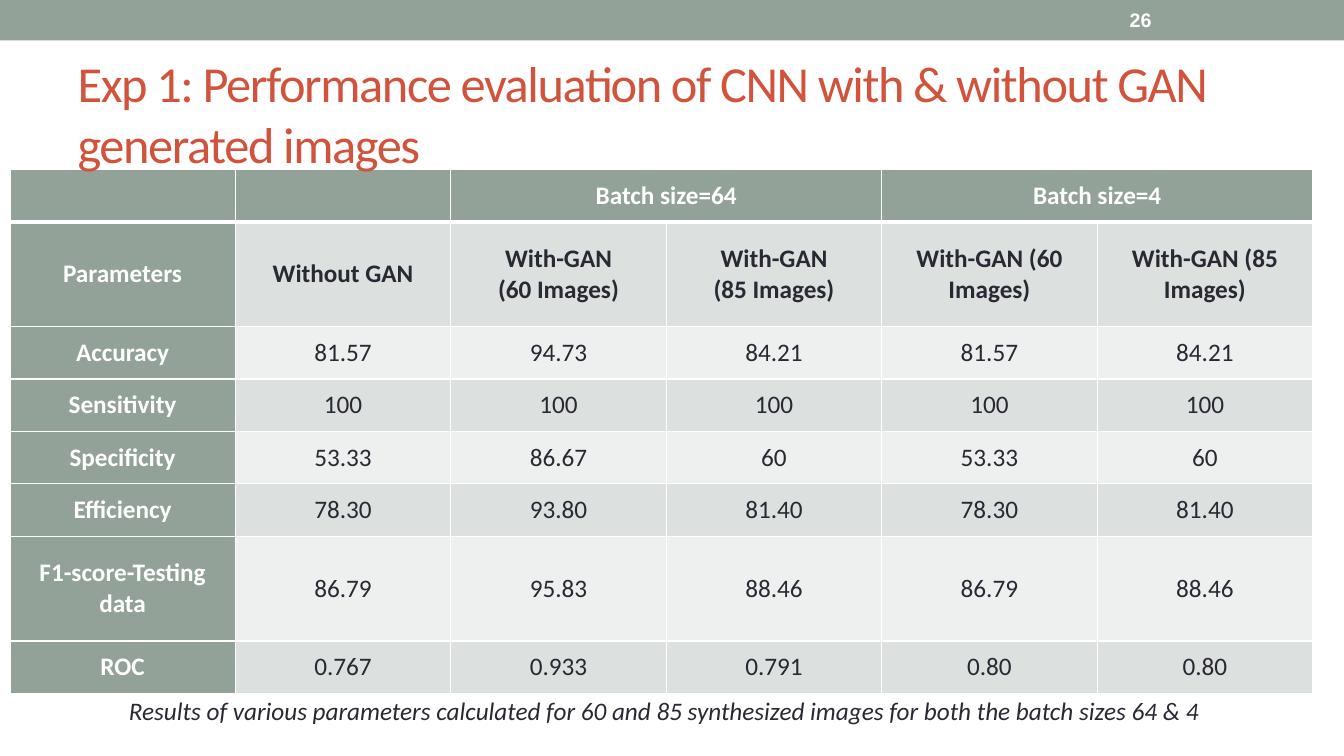
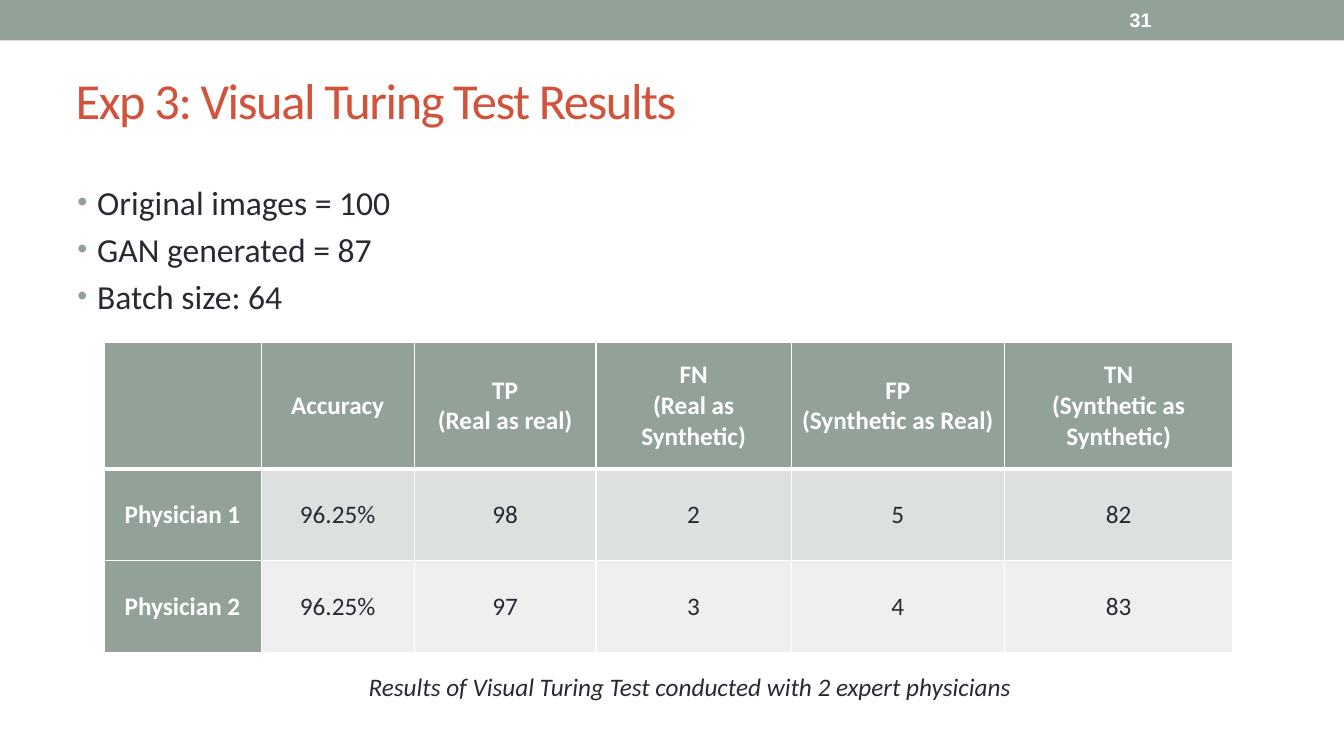
from dataclasses import dataclass

from lxml import etree
from pptx import Presentation
from pptx.dml.color import RGBColor
from pptx.enum.shapes import MSO_SHAPE
from pptx.enum.text import MSO_ANCHOR, MSO_AUTO_SIZE, PP_ALIGN
from pptx.oxml.ns import qn
from pptx.slide import Slide
from pptx.table import _Cell
from pptx.text.text import TextFrame
from pptx.util import Cm, Pt

RECTANGLE = MSO_SHAPE.RECTANGLE
MIDDLE, TOP = MSO_ANCHOR.MIDDLE, MSO_ANCHOR.TOP
LEFT, CENTER, JUSTIFY = PP_ALIGN.LEFT, PP_ALIGN.CENTER, PP_ALIGN.JUSTIFY
NO_AUTOFIT = MSO_AUTO_SIZE.NONE
TITLE_ONLY = 5


@dataclass(frozen=True)
class Theme:
    sage: str = "93A299"
    band_dark: str = "DCE0DE"
    band_light: str = "EEF0EF"
    rust: str = "D2533C"
    ink: str = "292934"
    white: str = "FFFFFF"
    font: str = "Calibri"
    number_font: str = "Arial"
    title_size: int = 36
    list_size: int = 24
    table_size: int = 18
    number_size: int = 14
    grid_line: int = 1
    header_line: int = 3


@dataclass(frozen=True)
class Style:
    size: int
    color: str
    bold: bool = False
    italic: bool = False
    font: str = "Calibri"
    align: PP_ALIGN = LEFT
    anchor: MSO_ANCHOR = TOP


@dataclass(frozen=True)
class Box:
    """Position and size in centimetres."""
    left: float
    top: float
    width: float
    height: float


@dataclass(frozen=True)
class ResultTable:
    left: float
    top: float
    columns: list[float]
    heights: list[float]
    rows: list[list[str]]
    bold_rows: int = 1
    merged_pairs: tuple[int, ...] = ()


THEME = Theme()
TITLE = Style(THEME.title_size, THEME.rust, font=THEME.font, anchor=MIDDLE)
PAGE_NUMBER = Style(THEME.number_size, THEME.white, bold=True,
                    font=THEME.number_font, anchor=MIDDLE)
CAPTION = Style(THEME.table_size, THEME.ink, italic=True, font=THEME.font)
BULLETS = Style(THEME.list_size, THEME.ink, font=THEME.font, align=JUSTIFY)

SLIDE_WIDTH, SLIDE_HEIGHT = 33.87, 19.05
NUMBER_BOX = Box(28.22, 0.05, 3.96, 0.91)

# Slide content
GAN_RESULTS = ResultTable(
    left=0.25, top=4.27,
    columns=[5.68] + [5.43] * 5,
    heights=[1.32, 2.64] + [1.32] * 4 + [2.64, 1.32],
    rows=[
        ["", "", "Batch size=64", "", "Batch size=4", ""],
        ["Parameters", "Without GAN", "With-GAN\n(60 Images)", "With-GAN\n(85 Images)",
         "With-GAN (60 Images)", "With-GAN (85 Images)"],
        ["Accuracy", "81.57", "94.73", "84.21", "81.57", "84.21"],
        ["Sensitivity", "100", "100", "100", "100", "100"],
        ["Specificity", "53.33", "86.67", "60", "53.33", "60"],
        ["Efficiency", "78.30", "93.80", "81.40", "78.30", "81.40"],
        ["F1-score-Testing data", "86.79", "95.83", "88.46", "86.79", "88.46"],
        ["ROC", "0.767", "0.933", "0.791", "0.80", "0.80"],
    ],
    bold_rows=2, merged_pairs=(2, 4))

TURING_RESULTS = ResultTable(
    left=2.62, top=8.64,
    columns=[3.96, 3.86, 4.58, 4.92, 5.37, 5.76],
    heights=[3.18, 2.31, 2.31],
    rows=[
        ["", "Accuracy", "TP\n(Real as real)", "FN\n(Real as Synthetic)",
         "FP\n(Synthetic as Real)", "TN\n(Synthetic as Synthetic)"],
        ["Physician 1", "96.25%", "98", "2", "5", "82"],
        ["Physician 2", "96.25%", "97", "3", "4", "83"],
    ])

TEST_SETUP = "Original images = 100\nGAN generated = 87\nBatch size: 64"


def rgb(color: str) -> RGBColor:
    return RGBColor.from_string(color)


def write(frame: TextFrame, text: str, style: Style) -> None:
    frame.text = text
    for paragraph in frame.paragraphs:
        paragraph.alignment = style.align
        for run in paragraph.runs:
            run.font.name = style.font
            run.font.size = Pt(style.size)
            run.font.bold = style.bold
            run.font.italic = style.italic
            run.font.color.rgb = rgb(style.color)


def add_text(slide: Slide, box: Box, text: str, style: Style, wrap: bool = True) -> TextFrame:
    frame = slide.shapes.add_textbox(
        Cm(box.left), Cm(box.top), Cm(box.width), Cm(box.height)).text_frame
    frame.word_wrap = wrap
    frame.vertical_anchor = style.anchor
    write(frame, text, style)
    return frame


def add_bullets(slide: Slide, box: Box, text: str) -> None:
    for paragraph in add_text(slide, box, text, BULLETS).paragraphs:
        paragraph.space_before = Pt(0.2 * BULLETS.size)
        props = paragraph._p.get_or_add_pPr()
        props.set("marL", str(Cm(0.5)))
        props.set("indent", str(Cm(-0.5)))
        color = etree.SubElement(props, qn("a:buClr"))
        etree.SubElement(color, qn("a:srgbClr"), val=THEME.sage)
        etree.SubElement(props, qn("a:buSzPct"), val="85000")
        etree.SubElement(props, qn("a:buFont"), typeface="Arial")
        etree.SubElement(props, qn("a:buChar"), char="•")


def add_borders(cell: _Cell, row: int) -> None:
    widths = dict.fromkeys(("lnL", "lnR", "lnT", "lnB"), THEME.grid_line)
    # The header is set off by one thick line shared by rows 0 and 1
    if row < 2:
        widths["lnB" if row == 0 else "lnT"] = THEME.header_line
    props = cell._tc.get_or_add_tcPr()
    for side, width in widths.items():
        line = etree.SubElement(props, qn(f"a:{side}"), w=str(Pt(width)))
        fill = etree.SubElement(line, qn("a:solidFill"))
        etree.SubElement(fill, qn("a:srgbClr"), val=THEME.white)


def format_cell(cell: _Cell, text: str, row: int, column: int, bold_rows: int) -> None:
    heading = row == 0 or column == 0
    add_borders(cell, row)
    cell.fill.solid()
    band = THEME.band_dark if row % 2 else THEME.band_light
    cell.fill.fore_color.rgb = rgb(THEME.sage if heading else band)
    cell.margin_left = cell.margin_right = Cm(0.18)
    cell.margin_top = cell.margin_bottom = 0
    cell.vertical_anchor = MIDDLE
    write(cell.text_frame, text,
          Style(THEME.table_size, THEME.white if heading else THEME.ink,
                bold=heading or row < bold_rows, font=THEME.font, align=CENTER))


def add_results(slide: Slide, results: ResultTable) -> None:
    table = slide.shapes.add_table(
        len(results.rows), len(results.columns), Cm(results.left), Cm(results.top),
        Cm(sum(results.columns)), Cm(sum(results.heights))).table
    table.first_row = table.horz_banding = False
    for column, width in zip(table.columns, results.columns):
        column.width = Cm(width)
    for row, height in zip(table.rows, results.heights):
        row.height = Cm(height)
    for r, texts in enumerate(results.rows):
        for c, text in enumerate(texts):
            format_cell(table.cell(r, c), text, r, c, results.bold_rows)
    for c in results.merged_pairs:
        table.cell(0, c).merge(table.cell(0, c + 1))


def start_slide(deck: Presentation, number: str) -> Slide:
    """Add a slide with the top band and its page number."""
    slide = deck.slides.add_slide(deck.slide_layouts[TITLE_ONLY])
    band = slide.shapes.add_shape(RECTANGLE, 0, 0, Cm(SLIDE_WIDTH), Cm(1.02))
    band.shadow.inherit = False
    band.fill.solid()
    band.fill.fore_color.rgb = rgb(THEME.sage)
    band.line.fill.background()
    add_text(slide, NUMBER_BOX, number, PAGE_NUMBER)
    return slide


def set_title(slide: Slide, text: str, left: float, top: float) -> None:
    title = slide.shapes.title
    title.left, title.top, title.width, title.height = Cm(left), Cm(top), Cm(30.48), Cm(2.74)
    frame = title.text_frame
    frame.word_wrap = True
    frame.auto_size = NO_AUTOFIT
    frame.vertical_anchor = TITLE.anchor
    write(frame, text, TITLE)
    for run in frame.paragraphs[0].runs:
        run.font._element.set("spc", "-100")
    # Keep the title in front of the table
    slide.shapes.element.append(title.element)


def main() -> None:
    deck = Presentation()
    deck.slide_width, deck.slide_height = Cm(SLIDE_WIDTH), Cm(SLIDE_HEIGHT)

    # CNN performance
    performance = start_slide(deck, "26")
    add_results(performance, GAN_RESULTS)
    set_title(performance, "Exp 1: Performance evaluation of CNN with & without GAN "
              "generated images", 1.7, 1.47)
    add_text(performance, Box(3, 17.4, 27.79, 1.02),
             "Results of various parameters calculated for 60 and 85 synthesized images "
             "for both the batch sizes 64 & 4", CAPTION, wrap=False)

    # Visual Turing test
    turing = start_slide(deck, "31")
    add_bullets(turing, Box(1.7, 4.45, 30.48, 13.54), TEST_SETUP)
    add_results(turing, TURING_RESULTS)
    set_title(turing, "Exp 3: Visual Turing Test Results", 1.65, 1.14)
    add_text(turing, Box(9.04, 16.79, 16.87, 1.02),
             "Results of Visual Turing Test conducted with 2 expert physicians",
             CAPTION, wrap=False)

    deck.save("out.pptx")


if __name__ == "__main__":
    main()
